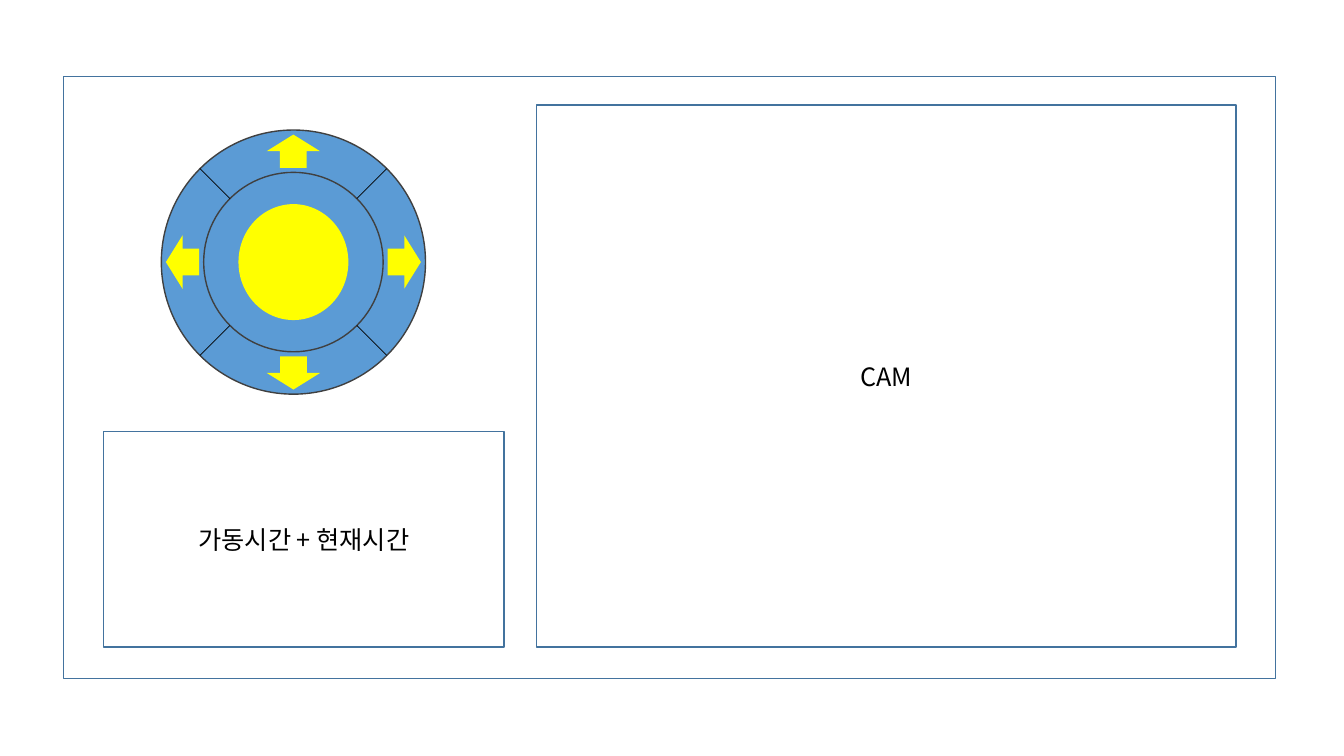
import math

import pptx
import pptx.util
import pptx.dml.color
import pptx.enum.shapes
import pptx.enum.text
import pptx.oxml
import pptx.oxml.ns

Inches = pptx.util.Inches
Pt = pptx.util.Pt
KIND = pptx.enum.shapes.MSO_SHAPE
FONT = "Noto Sans CJK KR"
COLORS = {
    "panel": "FFFFFF",
    "edge": "43739E",
    "dial": "5B9BD5",
    "ring": "404040",
    "mark": "FFFF00",
    "ink": "000000",
}
HUB = (2.91, 2.6)


def color(name):
    """Return the named colour."""
    return pptx.dml.color.RGBColor.from_string(COLORS[name])


def add_form(shapes, kind, box, fill, edge=None):
    """Add a filled shape, outlined when an edge colour is given."""
    form = shapes.add_shape(kind, *map(Inches, box))
    form.shadow.inherit = False
    form.fill.solid()
    form.fill.fore_color.rgb = color(fill)
    if edge:
        form.line.color.rgb = color(edge)
        form.line.width = Pt(1)
    else:
        form.line.fill.background()
    return form


def add_panel(shapes, box, label=""):
    """Add a framed panel with an optional centred label."""
    panel = add_form(shapes, KIND.RECTANGLE, box, "panel", "edge")
    if not label:
        return
    frame = panel.text_frame
    frame.text = label
    frame.vertical_anchor = pptx.enum.text.MSO_ANCHOR.MIDDLE
    line = frame.paragraphs[0]
    line.alignment = pptx.enum.text.PP_ALIGN.CENTER
    for run in line.runs:
        run.font.size = Pt(18)
        run.font.name = FONT
        run.font.color.rgb = color("ink")
        east = pptx.oxml.parse_xml(
            f'<a:ea {pptx.oxml.ns.nsdecls("a")} typeface="{FONT}"/>')
        run.font._element.find(pptx.oxml.ns.qn("a:latin")).addnext(east)


def add_disc(shapes, wide, high, fill, edge=None):
    """Add an ellipse centred on the hub."""
    box = (HUB[0] - wide / 2, HUB[1] - high / 2, wide, high)
    add_form(shapes, KIND.OVAL, box, fill, edge)


def polar(reach, angle):
    """Return the point at a distance and clockwise angle from the hub."""
    turn = math.radians(angle)
    return HUB[0] + reach * math.cos(turn), HUB[1] + reach * math.sin(turn)


def add_arrow(shapes, angle):
    """Add an arrow that points away from the hub."""
    wide, high = 0.33, 0.53
    x, y = polar(1.1, angle)
    box = (x - wide / 2, y - high / 2, wide, high)
    arrow = add_form(shapes, KIND.RIGHT_ARROW, box, "mark")
    arrow.rotation = angle


def add_spoke(shapes, angle):
    """Add a line from the inner ring to the outer ring."""
    ends = polar(0.89, angle) + polar(1.31, angle)
    spoke = shapes.add_connector(
        pptx.enum.shapes.MSO_CONNECTOR.STRAIGHT, *map(Inches, ends))
    spoke.line.color.rgb = color("ink")
    spoke.line.width = Pt(0.5)
    spoke._element.spPr.append(pptx.oxml.parse_xml(
        f'<a:effectLst {pptx.oxml.ns.nsdecls("a")}/>'))


def add_dial(slide):
    """Add the grouped direction dial."""
    shapes = slide.shapes.add_group_shape().shapes
    add_disc(shapes, 2.62, 2.62, "dial", "ring")
    for angle in (270, 0, 90, 180):
        add_arrow(shapes, angle)
    add_disc(shapes, 1.78, 1.78, "dial", "ring")
    for angle in (315, 225, 45, 135):
        add_spoke(shapes, angle)
    add_disc(shapes, 1.09, 1.15, "mark")


def main():
    """Build and save the control screen."""
    deck = pptx.Presentation()
    deck.slide_width = Inches(13.33)
    deck.slide_height = Inches(7.5)
    slide = deck.slides.add_slide(deck.slide_layouts[6])
    add_panel(slide.shapes, (0.63, 0.76, 12.02, 5.97))
    add_panel(slide.shapes, (5.32, 1.04, 6.94, 5.38), "CAM")
    add_panel(slide.shapes, (1.03, 4.28, 3.97, 2.14), "가동시간 + 현재시간")
    add_dial(slide)
    deck.save("out.pptx")


main()
